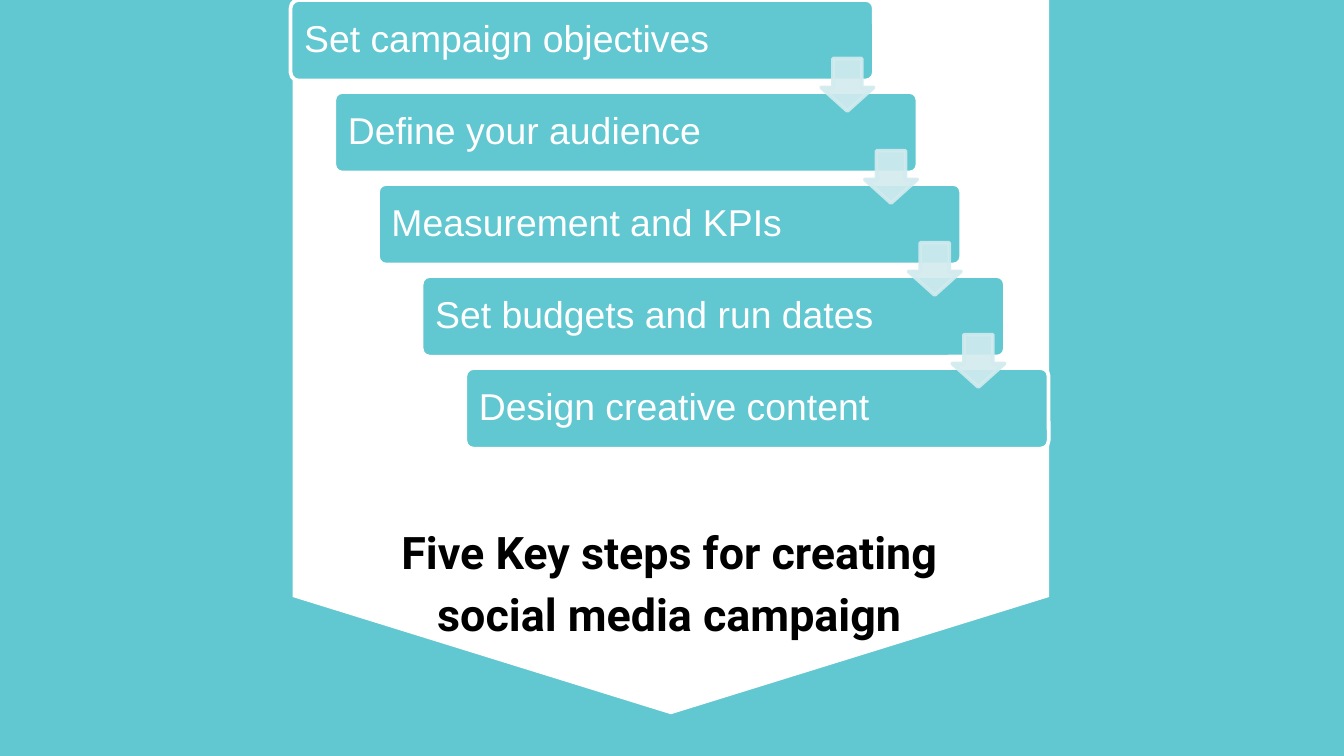
from dataclasses import dataclass

from lxml.etree import SubElement
from pptx import Presentation
from pptx.dml.color import RGBColor
from pptx.enum.shapes import MSO_SHAPE
from pptx.enum.text import MSO_ANCHOR, PP_ALIGN
from pptx.oxml.ns import qn
from pptx.util import Pt

TEAL = RGBColor(0x61, 0xC7, 0xD0)
PALE_TEAL = RGBColor(0xD2, 0xEB, 0xEE)
WHITE = RGBColor(0xFF, 0xFF, 0xFF)
BLACK = RGBColor(0x00, 0x00, 0x00)

STEPS = [
    "Set campaign objectives",
    "Define your audience",
    "Measurement and KPIs",
    "Set budgets and run dates",
    "Design creative content",
]
STEP_RIGHT, STEP_DOWN = 23.4, 49.3


@dataclass(frozen=True)
class Area:
    """A rectangle in points."""

    left: float
    top: float
    width: float
    height: float

    def at_step(self, index: int) -> "Area":
        return Area(self.left + index * STEP_RIGHT, self.top + index * STEP_DOWN,
                    self.width, self.height)

    def lengths(self) -> list:
        return [Pt(value) for value in (self.left, self.top, self.width, self.height)]


@dataclass(frozen=True)
class TextStyle:
    font: str
    size: float
    color: RGBColor
    bold: bool
    alignment: PP_ALIGN
    line_spacing: float
    inset: float


BANNER = Area(167.9, -11.5, 383, 405.3)
TITLE = Area(206.6, 257.8, 303.8, 104.4)
BAR = Area(155.7, 0, 312.5, 43.2)
LABEL = Area(156.9, 1.3, 258.5, 41)
ARROW = Area(439.9, 31.4, 28.1, 28.1)

TITLE_STYLE = TextStyle("Roboto", 24, BLACK, True, PP_ALIGN.CENTER, 1.15, 7.2)
LABEL_STYLE = TextStyle("Arial", 20, WHITE, False, PP_ALIGN.LEFT, 0.9, 6)


def add_filled_shape(page, kind: MSO_SHAPE, area: Area, adjustments: list[float],
                     fill: RGBColor, line: RGBColor | None = None):
    shape = page.shapes.add_shape(kind, *area.lengths())
    shape.shadow.inherit = False
    for index, value in enumerate(adjustments):
        shape.adjustments[index] = value
    shape.fill.solid()
    shape.fill.fore_color.rgb = fill
    if line is None:
        shape.line.fill.background()
    else:
        shape.line.color.rgb = line
        shape.line.width = Pt(2)
    return shape


def add_text(page, area: Area, text: str, style: TextStyle) -> None:
    box = page.shapes.add_textbox(*area.lengths())
    frame = box.text_frame
    frame.word_wrap = True
    frame.vertical_anchor = MSO_ANCHOR.MIDDLE
    frame.margin_left = frame.margin_right = Pt(style.inset)
    frame.margin_top = frame.margin_bottom = Pt(style.inset)
    frame.text = text
    para = frame.paragraphs[0]
    para.alignment = style.alignment
    para.line_spacing = style.line_spacing
    font = para.runs[0].font
    font.name = style.font
    font.size = Pt(style.size)
    font.bold = style.bold
    font.color.rgb = style.color


def set_opacity(shape, percent: int) -> None:
    """Make the fill and the line of a shape partly transparent."""
    for color in shape.element.spPr.iter(qn("a:srgbClr")):
        SubElement(color, qn("a:alpha")).set("val", str(percent * 1000))


def main() -> None:
    deck = Presentation()
    deck.slide_width, deck.slide_height = Pt(720), Pt(405)
    page = deck.slides.add_slide(deck.slide_layouts[6])
    page.background.fill.solid()
    page.background.fill.fore_color.rgb = TEAL

    banner = add_filled_shape(page, MSO_SHAPE.PENTAGON, BANNER, [0.164], WHITE)
    banner.rotation = 90
    add_text(page, TITLE, "Five Key steps for creating social media campaign", TITLE_STYLE)

    for index, step in enumerate(STEPS):
        add_filled_shape(page, MSO_SHAPE.ROUNDED_RECTANGLE, BAR.at_step(index), [0.1],
                         TEAL, WHITE)
        add_text(page, LABEL.at_step(index), step, LABEL_STYLE)

    for index in range(len(STEPS) - 1):
        arrow = add_filled_shape(page, MSO_SHAPE.DOWN_ARROW, ARROW.at_step(index),
                                 [0.55, 0.45], PALE_TEAL, PALE_TEAL)
        set_opacity(arrow, 90)

    deck.save("out.pptx")


if __name__ == "__main__":
    main()
